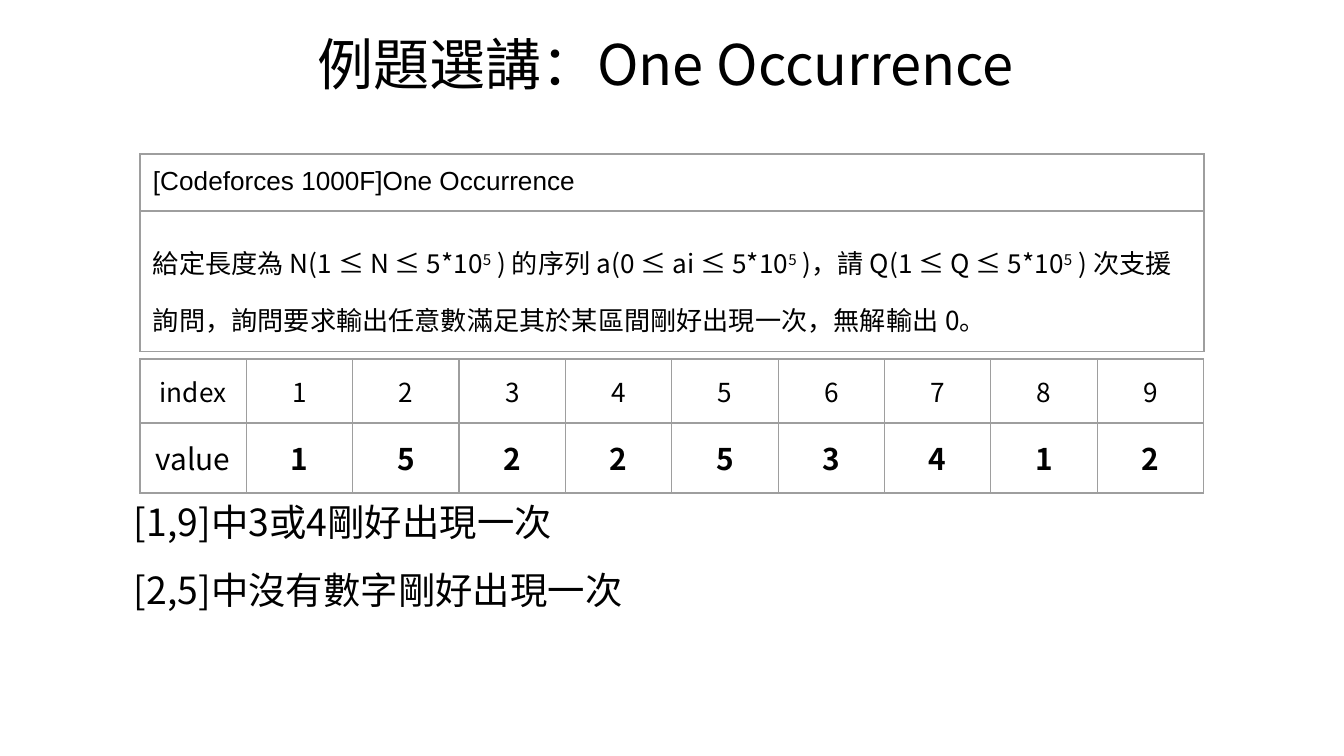
"""Build the One Occurrence example slide with its statement and sample array."""
from lxml import etree
from pptx import Presentation
from pptx import util as u
from pptx.dml.color import RGBColor
from pptx.enum import text
from pptx.oxml import ns

BLACK = RGBColor(0x00, 0x00, 0x00)
GREY = RGBColor(0x9E, 0x9E, 0x9E)
CJK = "Noto Sans CJK TC"
PX = 914400 / 134.4
INSET = round(13 * PX)
LEFT, WIDTH = round(140 * PX), round(1064 * PX)


def add_span(para, words, size, font=CJK, bold=False, raised=False):
    span = para.add_run()
    span.text = words
    span.font.size = u.Pt(size)
    span.font.bold = bold
    span.font.color.rgb = BLACK
    span.font.name = font
    props = span.font._element
    etree.SubElement(props, ns.qn("a:ea"), typeface=font)
    if raised:
        props.set("baseline", "30000")


def add_grid(page, top, heights, columns):
    frame = page.shapes.add_table(len(heights), columns, LEFT, round(top * PX),
                                  WIDTH, round(sum(heights) * PX))
    table = frame.table
    table.first_row = False
    table.horz_banding = False
    for row, height in zip(table.rows, heights):
        row.height = round(height * PX)
    for cell in table.iter_cells():
        cell.margin_left = cell.margin_right = INSET
        cell.margin_top = cell.margin_bottom = INSET
        props = cell._tc.get_or_add_tcPr()
        for side in ("a:lnL", "a:lnR", "a:lnT", "a:lnB"):
            line = etree.SubElement(props, ns.qn(side), w=str(u.Pt(0.75)))
            paint = etree.SubElement(line, ns.qn("a:solidFill"))
            etree.SubElement(paint, ns.qn("a:srgbClr"), val=str(GREY))
        cell.fill.background()
    return table


deck = Presentation()
deck.slide_width = round(1344 * PX)
deck.slide_height = round(756 * PX)
page = deck.slides.add_slide(deck.slide_layouts[5])

title = page.shapes.title
title.left, title.top = 0, round(24 * PX)
title.width, title.height = deck.slide_width, round(90 * PX)

statement = add_grid(page, 154, (57, 140), 1)
add_span(statement.cell(0, 0).text_frame.paragraphs[0],
         "[Codeforces 1000F]One Occurrence", 14, "Arial")
para = statement.cell(1, 0).text_frame.paragraphs[0]
para.line_spacing = 1.5
pieces = (
    "給定⻑度為 N(1 ≤ N ≤ 5*10",
    " ) 的序列 a(0 ≤ ai ≤ 5*10",
    " )，請 Q(1 ≤ Q ≤ 5*10",
    " ) 次⽀援詢問，詢問要求輸出任意數滿⾜其於某區間剛好出現⼀次，無解輸出 0。",
)
for number, piece in enumerate(pieces):
    if number:
        add_span(para, "5", 14, raised=True)
    add_span(para, piece, 14)

sample = add_grid(page, 359, (64, 70), 10)
sample_rows = (
    (("index", *range(1, 10)), 14, False),
    (("value", 1, 5, 2, 2, 5, 3, 4, 1, 2), 16, True),
)
for row, (entries, size, strong) in enumerate(sample_rows):
    for column, entry in enumerate(entries):
        para = sample.cell(row, column).text_frame.paragraphs[0]
        para.alignment = text.PP_ALIGN.CENTER
        add_span(para, str(entry), size, bold=strong and column > 0)

answers = [
    page.shapes.add_textbox(round(121 * PX), round(top * PX),
                            round(1146 * PX), round(78 * PX))
    for top in (491, 559)
]
lines = (
    (title, "例題選講：One Occurrence ", 30, text.PP_ALIGN.CENTER),
    (answers[0], "[1,9]中3或4剛好出現一次", 20, text.PP_ALIGN.LEFT),
    (answers[1], "[2,5]中沒有數字剛好出現一次", 20, text.PP_ALIGN.LEFT),
)
for box, words, size, alignment in lines:
    frame = box.text_frame
    frame.word_wrap = True
    frame.auto_size = text.MSO_AUTO_SIZE.NONE
    frame.vertical_anchor = text.MSO_ANCHOR.TOP
    frame.margin_left = frame.margin_right = INSET
    frame.margin_top = frame.margin_bottom = INSET
    para = frame.paragraphs[0]
    para.alignment = alignment
    para.line_spacing = 0.9
    para.space_before = u.Pt(0)
    add_span(para, words, size)

deck.save("out.pptx")
